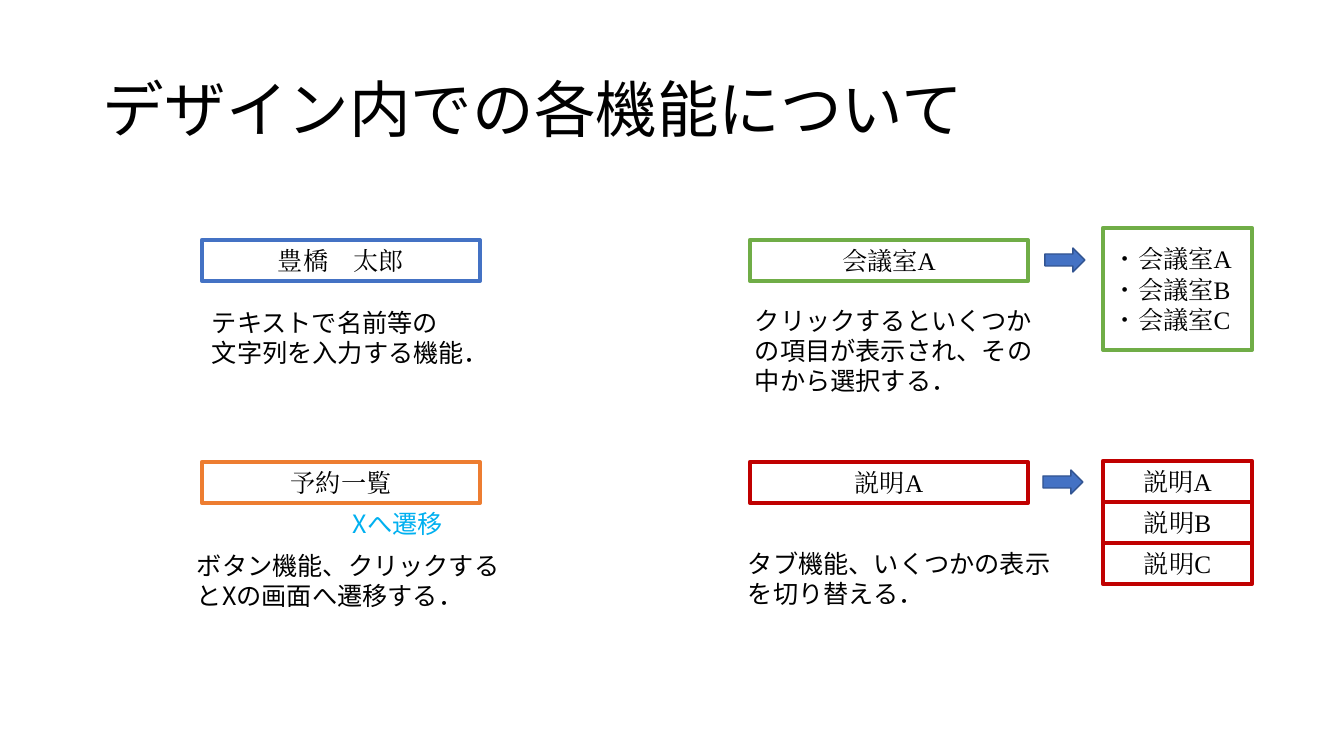
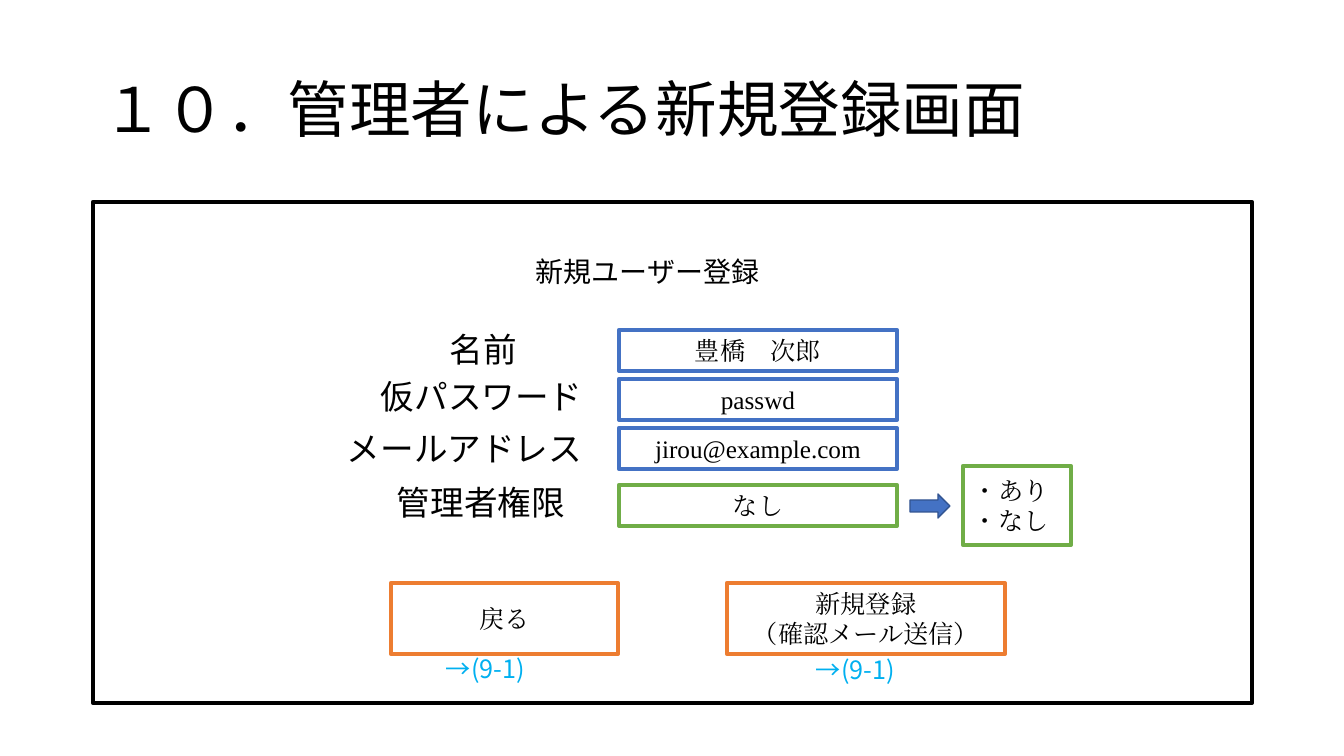
from pptx import Presentation
from pptx.dml.color import RGBColor
from pptx.enum.shapes import MSO_SHAPE as SHAPE
from pptx.enum.text import MSO_ANCHOR as ANCHOR, MSO_AUTO_SIZE as AUTO, PP_ALIGN as ALIGN
from pptx.oxml.ns import qn
from pptx.util import Emu, Inches, Pt

PX = Inches(1) / 100.8
SANS = "Noto Sans CJK JP"
SERIF = "Times New Roman"
COLORS = {
    "text": "000000",
    "input": "4472C4",
    "button": "ED7D31",
    "select": "70AD47",
    "tab": "C00000",
    "link": "00B0F0",
    "arrow_line": "325491",
}
FIELD_W, FIELD_H = 278, 41


def px(*values):
    return [Emu(round(v * PX)) for v in values]


def rgb(name):
    return RGBColor.from_string(COLORS[name])


def write(tf, lines, size, font, color="text", align=ALIGN.LEFT, spacing=1.0):
    for i, line in enumerate(lines):
        p = tf.add_paragraph() if i else tf.paragraphs[0]
        p.alignment = align
        p.line_spacing = spacing
        r = p.add_run()
        r.text = line
        r.font.size = Pt(size)
        r.font.name = font
        r.font.color.rgb = rgb(color)
        ea = r.font._element.makeelement(qn("a:ea"), {"typeface": font})
        r.font._element.find(qn("a:latin")).addnext(ea)


def add_text(s, x, y, w, h, *lines, size=18, color="text", wrap=True):
    tf = s.shapes.add_textbox(*px(x, y, w, h)).text_frame
    tf.word_wrap = wrap
    tf.auto_size = AUTO.SHAPE_TO_FIT_TEXT
    write(tf, lines, size, SANS, color)


def add_title(s, text):
    tf = s.shapes.add_textbox(*px(93, 40, 1159, 146)).text_frame
    tf.word_wrap = True
    tf.vertical_anchor = ANCHOR.MIDDLE
    write(tf, [text], 44, SANS, spacing=0.9)


def add_box(s, x, y, w, h, color, *lines, align=ALIGN.CENTER):
    sp = s.shapes.add_shape(SHAPE.RECTANGLE, *px(x, y, w, h))
    sp.shadow.inherit = False
    sp.fill.background()
    sp.line.color.rgb = rgb(color)
    sp.line.width = Pt(3)
    tf = sp.text_frame
    tf.word_wrap = True
    tf.vertical_anchor = ANCHOR.MIDDLE
    write(tf, lines, 18, SERIF, align=align)


def add_field(s, x, y, color, text):
    add_box(s, x, y, FIELD_W, FIELD_H, color, text)


def add_options(s, x, y, w, h, *items):
    add_box(s, x, y, w, h, "select", *["・" + item for item in items], align=ALIGN.LEFT)


def add_arrow(s, x, y):
    sp = s.shapes.add_shape(SHAPE.RIGHT_ARROW, *px(x, y, 40, 24))
    sp.shadow.inherit = False
    sp.fill.solid()
    sp.fill.fore_color.rgb = rgb("input")
    sp.line.color.rgb = rgb("arrow_line")
    sp.line.width = Pt(1)


def build_functions(s):
    add_title(s, "デザイン内での各機能について")
    left, right, top, bottom = 202, 750, 240, 462
    menu_x, menu_w = 1103, 149

    add_field(s, left, top, "input", "豊橋　太郎")
    add_text(s, 202, 302, 312, 72, "テキストで名前等の", "文字列を入力する機能．")

    add_field(s, left, bottom, "button", "予約一覧")
    add_text(s, 343, 503, 156, 40, "Xへ遷移", color="link")
    add_text(s, 187, 545, 327, 72, "ボタン機能、クリックするとXの画面へ遷移する．")

    add_field(s, right, top, "select", "会議室A")
    add_text(s, 745, 300, 312, 102, "クリックするといくつかの項目が表示され、その中から選択する．")
    add_arrow(s, 1045, 248)
    add_options(s, menu_x, 228, menu_w, 122, "会議室A", "会議室B", "会議室C")

    add_field(s, right, bottom, "tab", "説明A")
    add_text(s, 738, 543, 327, 72, "タブ機能、いくつかの表示を切り替える．")
    add_arrow(s, 1043, 470)
    for i, letter in enumerate("ABC"):
        add_box(s, menu_x, 461 + i * FIELD_H, menu_w, FIELD_H, "tab", "説明" + letter)


def build_registration(s):
    add_title(s, "１０．管理者による新規登録画面")
    add_box(s, 93, 202, 1159, 501, "text")
    add_text(s, 526, 250, 247, 44, "新規ユーザー登録", size=20, wrap=False)

    rows = [
        ("名前", 440, 324, 89, "豊橋　次郎", 330, "input"),
        ("仮パスワード", 371, 371, 224, "passwd", 379, "input"),
        ("メールアドレス", 337, 423, 258, "jirou@example.com", 428, "input"),
        ("管理者権限", 387, 477, 190, "なし", 485, "select"),
    ]
    for label, x, y, w, value, field_y, color in rows:
        add_text(s, x, y, w, 50, label, size=24, wrap=False)
        add_field(s, 619, field_y, color, value)
    add_arrow(s, 910, 494)
    add_options(s, 963, 466, 108, 79, "あり", "なし")

    buttons = [
        (391, 227, ["戻る"], 436, 648),
        (727, FIELD_W, ["新規登録", "（確認メール送信）"], 806, 649),
    ]
    for x, w, lines, link_x, link_y in buttons:
        add_box(s, x, 583, w, 71, "button", *lines)
        add_text(s, link_x, link_y, 156, 40, "→(9-1)", color="link")


def main():
    prs = Presentation()
    prs.slide_width, prs.slide_height = px(1344, 756)
    for build in (build_functions, build_registration):
        build(prs.slides.add_slide(prs.slide_layouts[6]))
    prs.save("out.pptx")


main()
